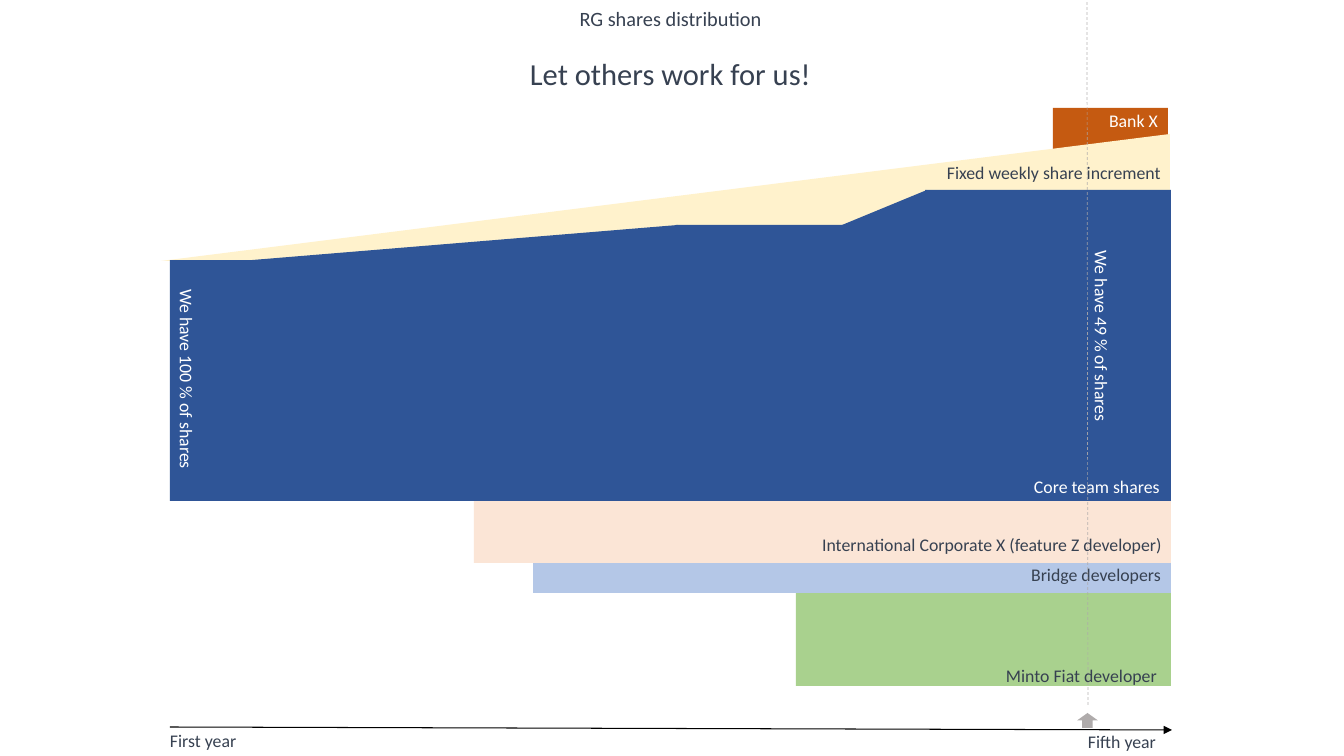
import pptx
import pptx.util
import pptx.dml.color
import pptx.enum.dml
import pptx.enum.shapes
import pptx.enum.text
import pptx.oxml
import pptx.oxml.ns

SHAPE = pptx.enum.shapes.MSO_SHAPE
ALIGN = pptx.enum.text.PP_ALIGN
ANCHOR = pptx.enum.text.MSO_ANCHOR

INK, WHITE, BLACK, GREY = "374151", "FFFFFF", "000000", "AFABAB"
CORE, INCREMENT, BANK = "2F5597", "FFF2CC", "C55A11"
CORPORATE, BRIDGE, FIAT = "FBE5D6", "B4C7E7", "A9D18E"
RIGHT_EDGE = 1171


def px(n):
    return pptx.util.Emu(round(n * 914400 / 100.8))


def rgb(color):
    return pptx.dml.color.RGBColor.from_string(color)


def element(tag, **attrs):
    e = pptx.oxml.parse_xml(f"<a:{tag} {pptx.oxml.ns.nsdecls('a')}/>")
    for name, value in attrs.items():
        e.set(name, value)
    return e


class Canvas:
    """Holds the text style and the slide being drawn."""

    font = "Calibri"
    size = 12.7

    def __init__(self, prs):
        self.s = prs.slides.add_slide(prs.slide_layouts[5])

    def style(self, p, color, size, align):
        p.alignment = align
        p.font.name = self.font
        p.font.size = pptx.util.Pt(size)
        p.font.color.rgb = rgb(color)

    def title(self, x, y, w, h, lines):
        """Fill the title placeholder with (text, size, space before) lines."""
        sp = self.s.shapes.title
        sp.left, sp.top, sp.width, sp.height = map(px, (x, y, w, h))
        tf = sp.text_frame
        tf.word_wrap = False
        tf.auto_size = pptx.enum.text.MSO_AUTO_SIZE.NONE
        tf.vertical_anchor = ANCHOR.TOP
        tf.text = "\n".join(text for text, _, _ in lines)
        for p, (_, size, before) in zip(tf.paragraphs, lines):
            self.style(p, INK, size, ALIGN.CENTER)
            p.line_spacing = 1.0
            p.space_before = pptx.util.Pt(before)

    def block(self, x, y, w, h, color, kind=SHAPE.RECTANGLE, rotation=0):
        sp = self.s.shapes.add_shape(kind, *map(px, (x, y, w, h)))
        sp.shadow.inherit = False
        sp.fill.solid()
        sp.fill.fore_color.rgb = rgb(color)
        sp.line.fill.background()
        sp.rotation = rotation
        return sp

    def slope(self, x, y, w, h, color):
        """Right triangle that rises to the right."""
        sp = self.block(x, y, w, h, color, SHAPE.RIGHT_TRIANGLE)
        sp._element.spPr.get_or_add_xfrm().set("flipH", "1")

    def label(self, x, y, w, h, text, color=INK, align=ALIGN.RIGHT, rotation=0):
        sp = self.s.shapes.add_textbox(*map(px, (x, y, w, h)))
        sp.rotation = rotation
        tf = sp.text_frame
        tf.word_wrap = False
        tf.vertical_anchor = ANCHOR.MIDDLE
        tf.margin_left = tf.margin_right = px(9)
        tf.margin_top = tf.margin_bottom = px(4)
        tf.text = text
        self.style(tf.paragraphs[0], color, self.size, align)

    def line(self, x1, y1, x2, y2, color, width):
        c = self.s.shapes.add_connector(
            pptx.enum.shapes.MSO_CONNECTOR.STRAIGHT, *map(px, (x1, y1, x2, y2)))
        c.line.color.rgb = rgb(color)
        c.line.width = pptx.util.Pt(width)
        c._element.spPr.append(element("effectLst"))
        return c.line

    def arrow(self, x1, y1, x2, y2, color, width):
        line = self.line(x1, y1, x2, y2, color, width)
        line._get_or_add_ln().append(element("tailEnd", type="triangle"))

    def dashed(self, x1, y1, x2, y2, color, width, opacity):
        line = self.line(x1, y1, x2, y2, color, width)
        line.dash_style = pptx.enum.dml.MSO_LINE.DASH
        srgb = line._get_or_add_ln().find(".//" + pptx.oxml.ns.qn("a:srgbClr"))
        srgb.append(element("alpha", val=str(opacity * 1000)))


def main():
    prs = pptx.Presentation()
    prs.slide_width, prs.slide_height = px(1344), px(756)
    c = Canvas(prs)
    c.title(519, 1, 303, 97, [("RG shares distribution", 14.5, 0),
                              ("Let others work for us!", 21.8, 17.7)])

    # Shares of the outside developers, each running to the right edge
    for x, y, h, color in [(796, 592, 94, FIAT), (533, 561, 32, BRIDGE),
                           (474, 498, 65, CORPORATE)]:
        c.block(x, y, RIGHT_EDGE - x, h, color)

    # Bank and weekly increment above the core team's rising area
    c.block(1053, 108, 115, 50, BANK)
    c.slope(161, 134, 1009, 127, INCREMENT)
    for x, y, h in [(676, 225, 40), (170, 260, 241), (925, 190, 40)]:
        c.block(x, y, RIGHT_EDGE - x, h, CORE)
    for x, y, w in [(192, 225, 486), (830, 190, 97)]:
        c.slope(x, y, w, 40, CORE)

    # Time axis
    c.arrow(170, 727, 1172, 730, BLACK, 0.75)
    c.label(1079, 726, 113, 31, "Fifth year", align=ALIGN.LEFT)
    c.label(161, 725, 152, 31, "First year", align=ALIGN.LEFT)

    c.label(824, 557, 346, 35, "Bridge developers")
    c.label(1025, 464, 144, 44, "Core team shares", WHITE, ALIGN.LEFT)
    c.label(905, 157, 265, 31, "Fixed weekly share increment")
    c.label(793, 527, 378, 35, "International Corporate X (feature Z developer)")
    c.label(1086, 103, 81, 34, "Bank X", WHITE)
    c.label(989, 314, 226, 44, "We have 49 % of shares", WHITE, ALIGN.CENTER, 90)

    # Marker of the fifth year
    c.block(1080, 710, 15, 21, GREY, SHAPE.RIGHT_ARROW, 270)
    c.dashed(1088, 705, 1087, 0, GREY, 0.5, 88)

    c.label(68, 357, 238, 44, "We have 100 % of shares", WHITE, ALIGN.CENTER, 90)
    c.label(978, 656, 188, 38, "Minto Fiat developer")
    prs.save("out.pptx")


if __name__ == "__main__":
    main()
